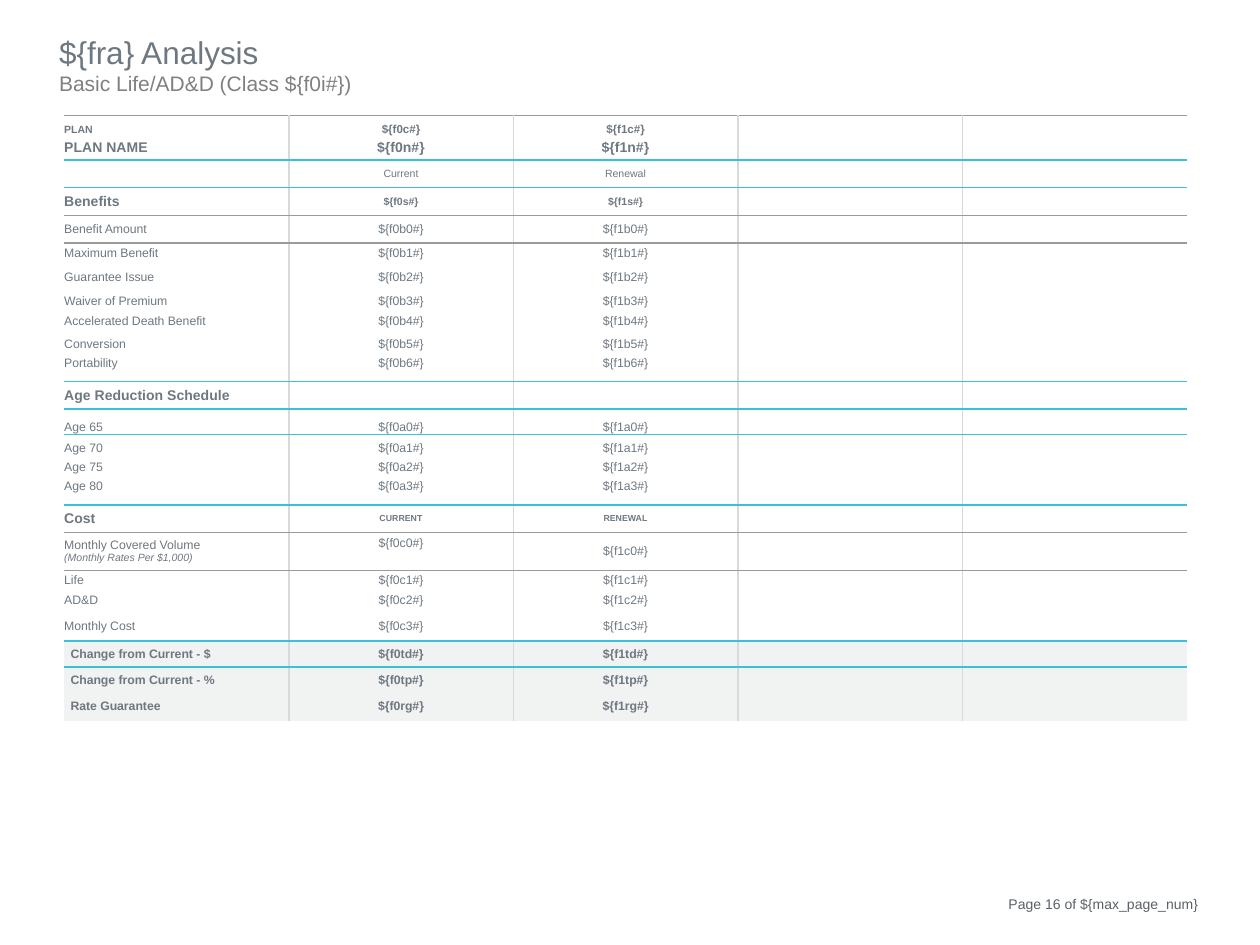
from dataclasses import dataclass

from lxml.etree import SubElement
from pptx import Presentation
from pptx.dml.color import RGBColor
from pptx.enum.text import MSO_ANCHOR, PP_ALIGN
from pptx.oxml.ns import qn
from pptx.util import Inches, Pt

TOP, MIDDLE, BOTTOM = MSO_ANCHOR.TOP, MSO_ANCHOR.MIDDLE, MSO_ANCHOR.BOTTOM
PLAIN_TABLE = "{2D5ABB26-0587-4C30-8999-92F81FD0307C}"


@dataclass(frozen=True)
class Theme:
    font: str = "Arial"
    text: str = "6E7881"
    subtitle: str = "808080"
    footer: str = "5A6166"
    accent: str = "3AC0DA"
    rule: str = "9A9A9A"
    divider: str = "D7DADC"
    band: str = "F1F2F2"
    title_size: float = 18
    subtitle_size: float = 12
    heading_size: float = 8
    body_size: float = 7
    small_size: float = 6
    code_size: float = 6.6
    tiny_size: float = 5


THEME = Theme()


@dataclass
class Row:
    label: str
    values: tuple
    height: float
    anchor: int = MIDDLE
    label_size: float = THEME.body_size
    value_size: float = THEME.body_size
    bold: bool = False
    band: bool = False
    note: str = ""


def fields(key):
    """Placeholder names for the current and the renewal plan."""
    return tuple(f"${{f{plan}{key}#}}" for plan in range(2))


def heading(label, values, value_size=THEME.small_size, height=0.22):
    return Row(label, values, height, label_size=THEME.heading_size,
               value_size=value_size, bold=True)


def details(prefix, entries):
    """Numbered detail rows from (label, height, anchor) entries."""
    return [Row(label, fields(f"{prefix}{number}"), height, anchor)
            for number, (label, height, anchor) in enumerate(entries)]


def plan_rows():
    rows = [
        Row("PLAN", fields("c"), 0.16, BOTTOM, THEME.small_size, THEME.code_size, True),
        heading("PLAN NAME", fields("n"), THEME.heading_size, 0.19),
        Row("", ("Current", "Renewal"), 0.22, value_size=THEME.small_size),
        heading("Benefits", fields("s")),
    ]
    rows += details("b", [
        ("Benefit Amount", 0.22, MIDDLE),
        ("Maximum Benefit", 0.16, MIDDLE),
        ("Guarantee Issue", 0.22, MIDDLE),
        ("Waiver of Premium", 0.16, MIDDLE),
        ("Accelerated Death Benefit", 0.16, MIDDLE),
        ("Conversion", 0.2, MIDDLE),
        ("Portability", 0.2, TOP),
    ])
    rows.append(heading("Age Reduction Schedule", ("", "")))
    rows += details("a", [
        ("Age 65", 0.2, BOTTOM),
        ("Age 70", 0.16, BOTTOM),
        ("Age 75", 0.2, MIDDLE),
        ("Age 80", 0.2, TOP),
    ])
    rows.append(heading("Cost", ("CURRENT", "RENEWAL"), THEME.tiny_size))
    costs = details("c", [
        ("Monthly Covered Volume", 0.3, MIDDLE),
        ("Life", 0.16, MIDDLE),
        ("AD&D", 0.16, MIDDLE),
        ("Monthly Cost", 0.24, MIDDLE),
    ])
    costs[0].note = "(Monthly Rates Per $1,000)"
    rows += costs
    rows += [Row(label, fields(key), height, anchor, bold=True, band=True)
             for label, key, height, anchor in (
                 ("Change from Current - $", "td", 0.2, BOTTOM),
                 ("Change from Current - %", "tp", 0.14, BOTTOM),
                 ("Rate Guarantee", "rg", 0.22, TOP))]
    return rows


def style_paragraph(para, text, size, color=THEME.text, bold=False, italic=False,
                    align=PP_ALIGN.LEFT):
    para.text = text
    para.alignment = align
    font = para.font
    font.name, font.size, font.bold, font.italic = THEME.font, Pt(size), bold, italic
    font.color.rgb = RGBColor.from_string(color)


def add_text(page, left, top, width, height, lines, align=PP_ALIGN.LEFT):
    """Text box with one paragraph per (text, size, color) line."""
    box = page.shapes.add_textbox(Inches(left), Inches(top), Inches(width), Inches(height))
    frame = box.text_frame
    frame.word_wrap = True
    for number, (text, size, color) in enumerate(lines):
        para = frame.add_paragraph() if number else frame.paragraphs[0]
        style_paragraph(para, text, size, color, align=align)


def add_border(cell, side, color, width=1):
    line = SubElement(cell._tc.get_or_add_tcPr(), qn(f"a:ln{side}"), w=str(Pt(width)))
    fill = SubElement(line, qn("a:solidFill"))
    SubElement(fill, qn("a:srgbClr"), val=color)


def add_borders(cell, row, column, last_column, edges):
    """Dividers between columns, and the lines above and below the row."""
    if column > 0 and column < last_column:
        add_border(cell, "L", THEME.divider)
    if column < last_column - 1:
        add_border(cell, "R", THEME.divider)
    for side, edge in (("T", row), ("B", row + 1)):
        if edge in edges:
            add_border(cell, side, *edges[edge])


def fill_cell(cell, row, column):
    cell.vertical_anchor = row.anchor
    inset = Inches(0.05 if row.band else 0)
    cell.margin_left = cell.margin_right = cell.margin_top = cell.margin_bottom = inset
    if row.band:
        cell.fill.solid()
        cell.fill.fore_color.rgb = RGBColor.from_string(THEME.band)
    else:
        cell.fill.background()
    text = (row.label, *row.values, "", "")[column]
    size = row.value_size if column else row.label_size
    if not text:
        size = THEME.tiny_size
    align = PP_ALIGN.CENTER if column else PP_ALIGN.LEFT
    style_paragraph(cell.text_frame.paragraphs[0], text, size, bold=row.bold, align=align)
    if row.note and column == 0:
        style_paragraph(cell.text_frame.add_paragraph(), row.note,
                        THEME.small_size, italic=True)
    if row.note and column == 1:
        cell.vertical_anchor = TOP
        cell.margin_top = Inches(0.03)


def add_plan_table(page, rows, columns=5):
    frame = page.shapes.add_table(len(rows), columns, Inches(0.51), Inches(0.92),
                                  Inches(8.91), Inches(4.78))
    table = frame.table
    table.first_row = table.horz_banding = False
    table._tbl.tblPr.find(qn("a:tableStyleId")).text = PLAIN_TABLE
    for column in table.columns:
        column.width = Inches(8.91 / columns)

    # Section lines, keyed by the row below them
    edges = {edge: (THEME.accent,) for edge in (1 + 1, 3, 11, 12, 16, 21)}
    edges.update({edge: (THEME.rule, 0.75) for edge in (0, 4, 17)})

    for number, row in enumerate(rows):
        table.rows[number].height = Inches(row.height)
        for column in range(columns):
            cell = table.cell(number, column)
            add_borders(cell, number, column, columns - 1, edges)
            fill_cell(cell, row, column)


def main():
    deck = Presentation()
    deck.slide_width, deck.slide_height = Inches(10), Inches(7.5)
    page = deck.slides.add_slide(deck.slide_layouts[6])

    # Plan comparison
    add_plan_table(page, plan_rows())

    # Title and page number
    add_text(page, 0.37, 0.21, 4.72, 0.61, [
        ("${fra} Analysis", THEME.title_size, THEME.text),
        ("Basic Life/AD&D (Class ${f0i#})", THEME.subtitle_size, THEME.subtitle)])
    add_text(page, 7.36, 7.06, 2.25, 0.33, [
        ("Page 16 of ${max_page_num}", THEME.heading_size, THEME.footer)], PP_ALIGN.RIGHT)

    deck.save("out.pptx")


main()
